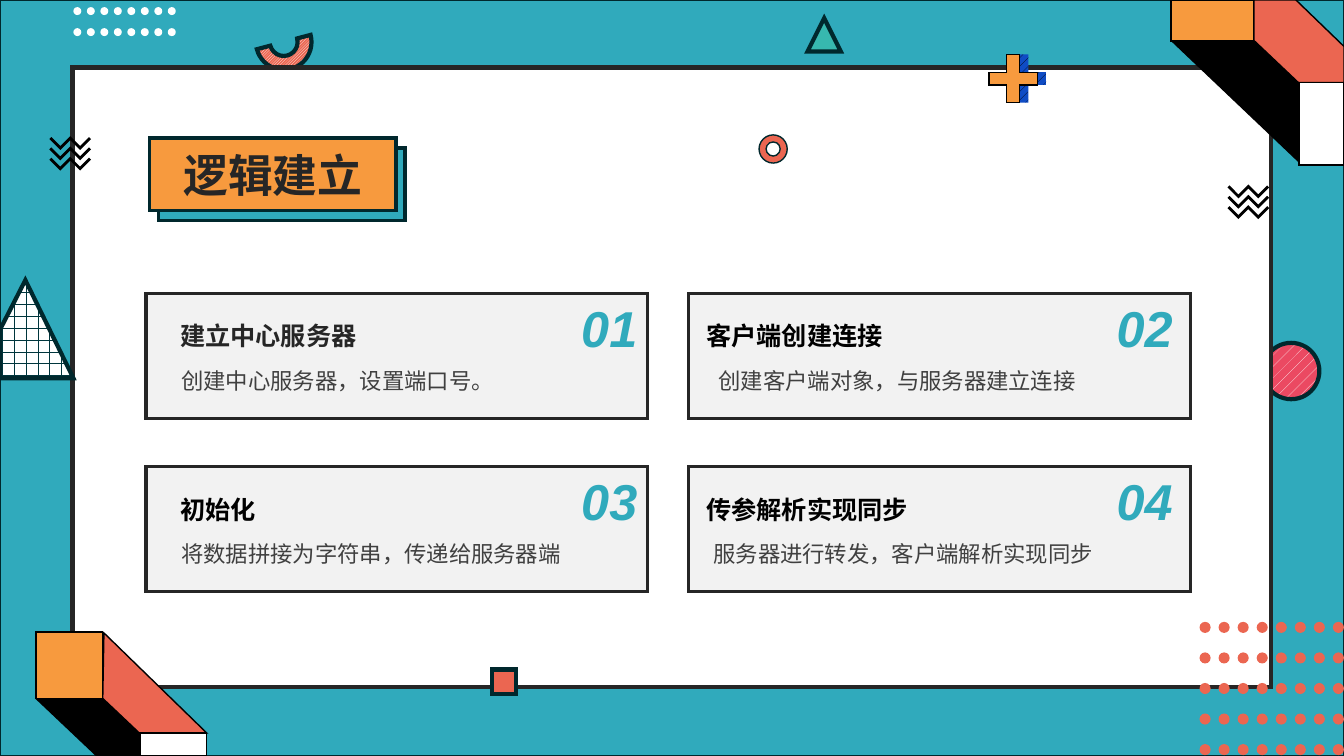
from lxml.etree import SubElement
from pptx import Presentation
from pptx.dml.color import RGBColor
from pptx.enum.dml import MSO_PATTERN as Pattern
from pptx.enum.shapes import MSO_SHAPE as Kind
from pptx.enum.text import MSO_ANCHOR as Anchor, MSO_AUTO_SIZE as Fit, PP_ALIGN as Align
from pptx.oxml.ns import qn
from pptx.util import Cm, Pt

TEAL = RGBColor(0x30, 0xAA, 0xBC)
MINT = RGBColor(0x37, 0xB8, 0xAF)
ORANGE = RGBColor(0xF7, 0x9A, 0x3E)
RED = RGBColor(0xEB, 0x66, 0x51)
PINK = RGBColor(0xEB, 0x49, 0x62)
BLUE = RGBColor(0x0F, 0x4C, 0xC5)
DEEP = RGBColor(0x00, 0x28, 0x2D)
GRID = RGBColor(0x00, 0x36, 0x3D)
INK = RGBColor(0x26, 0x26, 0x26)
TEXT = RGBColor(0x40, 0x40, 0x40)
GRAY = RGBColor(0x80, 0x80, 0x80)
BLACK = RGBColor(0, 0, 0)
WHITE = RGBColor(0xFF, 0xFF, 0xFF)
LATIN, HAN = "Arial", "Noto Sans CJK SC"

# Content
TITLE = "逻辑建立"
CARDS = [  # heading, heading font and colour, detail, detail indent in cm
    ("建立中心服务器", HAN, INK, "创建中心服务器，设置端口号。", 0.64),
    ("客户端创建连接", LATIN, BLACK, "创建客户端对象，与服务器建立连接", 0.51),
    ("初始化", LATIN, BLACK, "将数据拼接为字符串，传递给服务器端", 0.64),
    ("传参解析实现同步", LATIN, BLACK, "服务器进行转发，客户端解析实现同步", 0.38),
]

# Places in cm
WIDE, HIGH = 33.87, 19.05
CARD_X, CARD_Y, CARD_W, CARD_H = (3.68, 17.35), (7.39, 11.76), 12.65, 3.15
HEAD_DX, NUM_DX = (0.61, 0.2), (10.34, 10.16)

# Decoration: kind, place, fill, line colour, line width
BACK = [
    (Kind.RECTANGLE, (0, 0, WIDE, HIGH), TEAL, DEEP, 1),
    (Kind.ISOSCELES_TRIANGLE, (20.35, 0.46, 0.84, 0.84), MINT, DEEP, 3),
    (Kind.BLOCK_ARC, (6.45, 0.36, 1.4, 1.4),
     (Pattern.DARK_UPWARD_DIAGONAL, WHITE, RED), DEEP, 3),
    (Kind.OVAL, (31.83, 8.64, 1.42, 1.42), (Pattern.PERCENT_10, WHITE, PINK), DEEP, 3),
]
PANEL = (Kind.RECTANGLE, (1.83, 1.7, 30.2, 15.62), WHITE, INK, 3)
SQUARE = (Kind.RECTANGLE, (12.4, 16.87, 0.61, 0.61), RED, DEEP, 3)
BEAMS = [  # outline points, fill, line width
    ([(0.64, 7.06), (1.85, 9.53), (0, 9.53), (0, 8.31)],
     (Pattern.HORIZONTAL_BRICK, GRID, WHITE), 3),
    ([(2.59, 17.63), (3.53, 18.47), (3.53, 19.05), (2.44, 19.05), (0.94, 17.63)], BLACK, 1),
    ([(2.62, 15.95), (2.59, 17.6), (3.51, 18.47), (5.21, 18.47)], RED, 1),
    ([(32.77, 4.11), (32.74, 2.08), (31.6, 1.04), (29.54, 1.04)], BLACK, 1),
    ([(31.6, 0), (32.66, 0), (33.87, 1.17), (33.87, 2.08), (32.72, 2.08), (31.6, 1.02)],
     RED, 1),
]
FRONT = [
    (Kind.RECTANGLE, (0.91, 15.93, 1.68, 1.68), ORANGE, BLACK, 1),
    (Kind.RECTANGLE, (3.53, 18.47, 1.68, 0.58), WHITE, BLACK, 1),
    (Kind.RECTANGLE, (29.51, 0, 2.08, 1.04), ORANGE, BLACK, 1),
    (Kind.RECTANGLE, (32.74, 2.08, 1.12, 2.08), WHITE, BLACK, 1),
    (Kind.CROSS, (25.15, 1.37, 1.22, 1.22), (Pattern.PERCENT_20, BLACK, BLUE), None, 0),
    (Kind.CROSS, (24.92, 1.37, 1.22, 1.22), ORANGE, BLACK, 1),
    (Kind.DONUT, (19.13, 3.4, 0.71, 0.71), RED, DEEP, 1),
    (Kind.RECTANGLE, (3.99, 3.73, 6.22, 1.83), TEAL, DEEP, 2.25),
    (Kind.RECTANGLE, (3.76, 3.48, 6.22, 1.83), ORANGE, DEEP, 2.25),
]
WAVES = [(1.27, 3.48), (30.96, 4.7)]

deck = Presentation()
deck.slide_width, deck.slide_height = Cm(WIDE), Cm(HIGH)
slide = deck.slides.add_slide(deck.slide_layouts[5])
shapes = slide.shapes


def paint(shape, fill, line, width):
    shape.shadow.inherit = False
    if fill is None:
        shape.fill.background()
    elif isinstance(fill, RGBColor):
        shape.fill.solid()
        shape.fill.fore_color.rgb = fill
    else:
        shape.fill.patterned()
        shape.fill.pattern, shape.fill.fore_color.rgb, shape.fill.back_color.rgb = fill
    if line is None:
        shape.line.fill.background()
    else:
        shape.line.color.rgb = line
        shape.line.width = Pt(width)
        SubElement(shape.line._get_or_add_ln(), qn("a:miter"), lim="800000")
    return shape


def draw(kind, place, fill, line, width):
    shape = paint(shapes.add_shape(kind, *map(Cm, place)), fill, line, width)
    if kind == Kind.CROSS:
        shape.adjustments[0] = 0.37
    if kind == Kind.BLOCK_ARC:
        shape.rotation = 165
    return shape


def trace(points, fill, line, width, close=True):
    first, *rest = [(Cm(x), Cm(y)) for x, y in points]
    pen = shapes.build_freeform(*first)
    pen.add_line_segments(rest, close=close)
    paint(pen.convert_to_shape(), fill, line, width)


def dots(left, top, cols, rows, dx, dy, size, color):
    for row in range(rows):
        for col in range(cols):
            draw(Kind.OVAL, (left + col * dx, top + row * dy, size, size), color, None, 0)


def write(shape, text, size, color, name=LATIN, bold=True, italic=False, align=Align.LEFT):
    frame = shape.text_frame
    frame.word_wrap, frame.auto_size = False, Fit.NONE
    frame.vertical_anchor = Anchor.MIDDLE
    frame.text = text
    para = frame.paragraphs[0]
    para.alignment = align
    font = para.font
    font.size, font.bold, font.italic, font.name = Pt(size), bold, italic, name
    font.color.rgb = color
    SubElement(font._rPr, qn("a:ea"), typeface=HAN)


def label(x, y, high, text, size, color, **look):
    wide = Pt(size) * len(text) + Cm(0.56)
    write(shapes.add_textbox(Cm(x), Cm(y), wide, Cm(high)), text, size, color, **look)


# Backdrop and panel
for item in BACK:
    draw(*item)
dots(1.85, 0.18, 8, 2, 0.34, 0.53, 0.2, WHITE)
draw(*PANEL)
dots(30.23, 15.67, 8, 5, 0.48, 0.77, 0.28, RED)
draw(*SQUARE)

# Zigzags, beams and small ornaments
for left, top in WAVES:
    for row in range(3):
        trace([(left + i * 0.25, top + row * 0.26 + i % 2 * 0.25) for i in range(5)],
              None, BLACK, 2, close=False)
for points, fill, width in BEAMS:
    trace(points, fill, DEEP if width == 3 else BLACK, width)
for item in FRONT:
    draw(*item)

# Cards
for i, (head, name, color, detail, indent) in enumerate(CARDS):
    row, col = divmod(i, 2)
    x, y = CARD_X[col], CARD_Y[row]
    card = draw(Kind.RECTANGLE, (x, y, CARD_W, CARD_H), GRAY, INK, 2.25)
    tint = card.fill._xPr.find(qn("a:solidFill"))[0]
    SubElement(tint, qn("a:alpha"), val="10000")
    label(x + HEAD_DX[col], y + 0.56, 1.02, head, 18, color, name=name)
    number = shapes.add_textbox(Cm(x + NUM_DX[col]), Cm(y + 0.25), Cm(2.67), Cm(1.22))
    write(number, f"{i + 1:02}", 36, TEAL, italic=True, align=Align.CENTER)
    label(x + indent, y + 1.73, 0.94, detail, 16, TEXT, bold=False)

# Title, brought to the front
title = shapes.title
title.left, title.top, title.width, title.height = map(Cm, (4.34, 3.58, 5.08, 1.63))
write(title, TITLE, 32, INK, align=Align.CENTER)
shapes._spTree.append(title._element)

deck.save("out.pptx")
